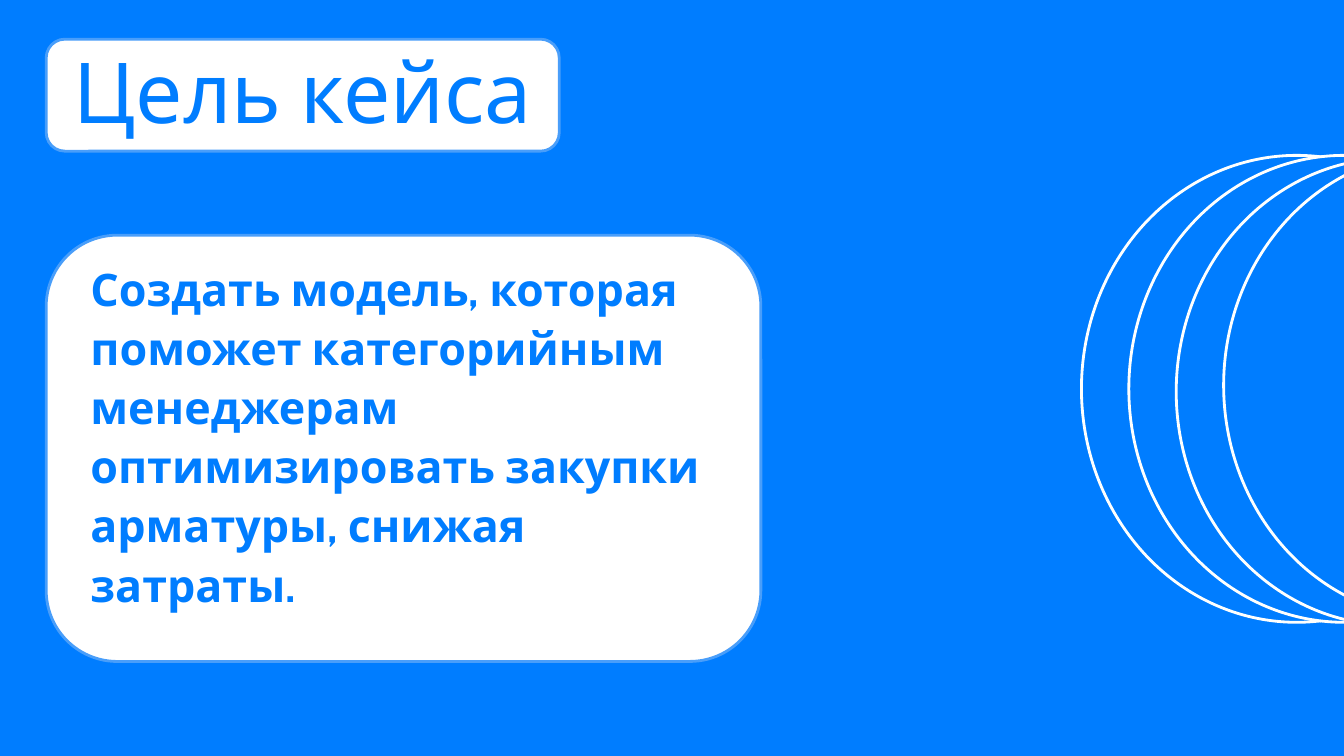
from pptx import Presentation
from pptx.dml.color import RGBColor
from pptx.enum.shapes import MSO_SHAPE as Shape
from pptx.enum.text import MSO_ANCHOR as Anchor, MSO_AUTO_SIZE as AutoSize, PP_ALIGN as Align
from pptx.util import Pt

COLORS = {"blue": "007DFF", "white": "FFFFFF", "border": "499EFA", "ring": "FEFFFE"}
FONT = "Cabin"
RING_LEFT, RING_STEP = 772.5, 33.85
RING_TOPS = (111, 111, 113, 108.5)


def color(name):
    return RGBColor.from_string(COLORS[name])


def add_outlined(slide, kind, left, top, width, height, fill, line):
    outlined = slide.shapes.add_shape(kind, Pt(left), Pt(top), Pt(width), Pt(height))
    outlined.shadow.inherit = False
    outlined.fill.solid()
    outlined.fill.fore_color.rgb = color(fill)
    outlined.line.color.rgb = color(line)
    outlined.line.width = Pt(2)


def add_card(slide, left, top, width, height):
    add_outlined(slide, Shape.ROUNDED_RECTANGLE, left, top, width, height, "white", "border")


def add_rings(slide):
    for index, top in enumerate(RING_TOPS):
        left = RING_LEFT + index * RING_STEP
        add_outlined(slide, Shape.OVAL, left, top, 307.5, 333.5, "blue", "ring")


def write(holder, text, size, spacing, bold=False, inset=0, auto_size=AutoSize.NONE):
    frame = holder.text_frame
    frame.word_wrap = True
    frame.auto_size = auto_size
    frame.vertical_anchor = Anchor.MIDDLE
    frame.margin_left = frame.margin_right = Pt(inset)
    frame.margin_top = frame.margin_bottom = Pt(inset)
    frame.text = text
    paragraph = frame.paragraphs[0]
    paragraph.alignment = Align.LEFT
    paragraph.line_spacing = spacing
    paragraph.space_before = Pt(0)
    font = paragraph.runs[0].font
    font.name = FONT
    font.size = Pt(size)
    font.bold = bold
    font.color.rgb = color("blue")


def add_title(slide, text):
    title = slide.shapes.title
    title.left, title.top, title.width, title.height = Pt(52.5), Pt(36), Pt(340.5), Pt(66)
    write(title, text, size=60, spacing=0.9)
    title.element.getparent().append(title.element)


def add_goal(slide, text):
    goal = slide.shapes.add_textbox(Pt(60), Pt(195), Pt(469.5), Pt(229.5))
    write(goal, text, size=32, spacing=1.1, bold=True, inset=4.5,
          auto_size=AutoSize.SHAPE_TO_FIT_TEXT)


def main():
    deck = Presentation()
    deck.slide_width, deck.slide_height = Pt(960), Pt(540)
    slide = deck.slides.add_slide(deck.slide_layouts[5])
    slide.background.fill.solid()
    slide.background.fill.fore_color.rgb = color("blue")
    add_card(slide, 33, 28, 366.5, 80)
    add_card(slide, 33, 168, 510.5, 304.5)
    add_goal(slide, "Создать модель, которая поможет категорийным менеджерам "
                    "оптимизировать закупки арматуры, снижая затраты.")
    add_rings(slide)
    add_title(slide, "Цель кейса")
    deck.save("out.pptx")


if __name__ == "__main__":
    main()
